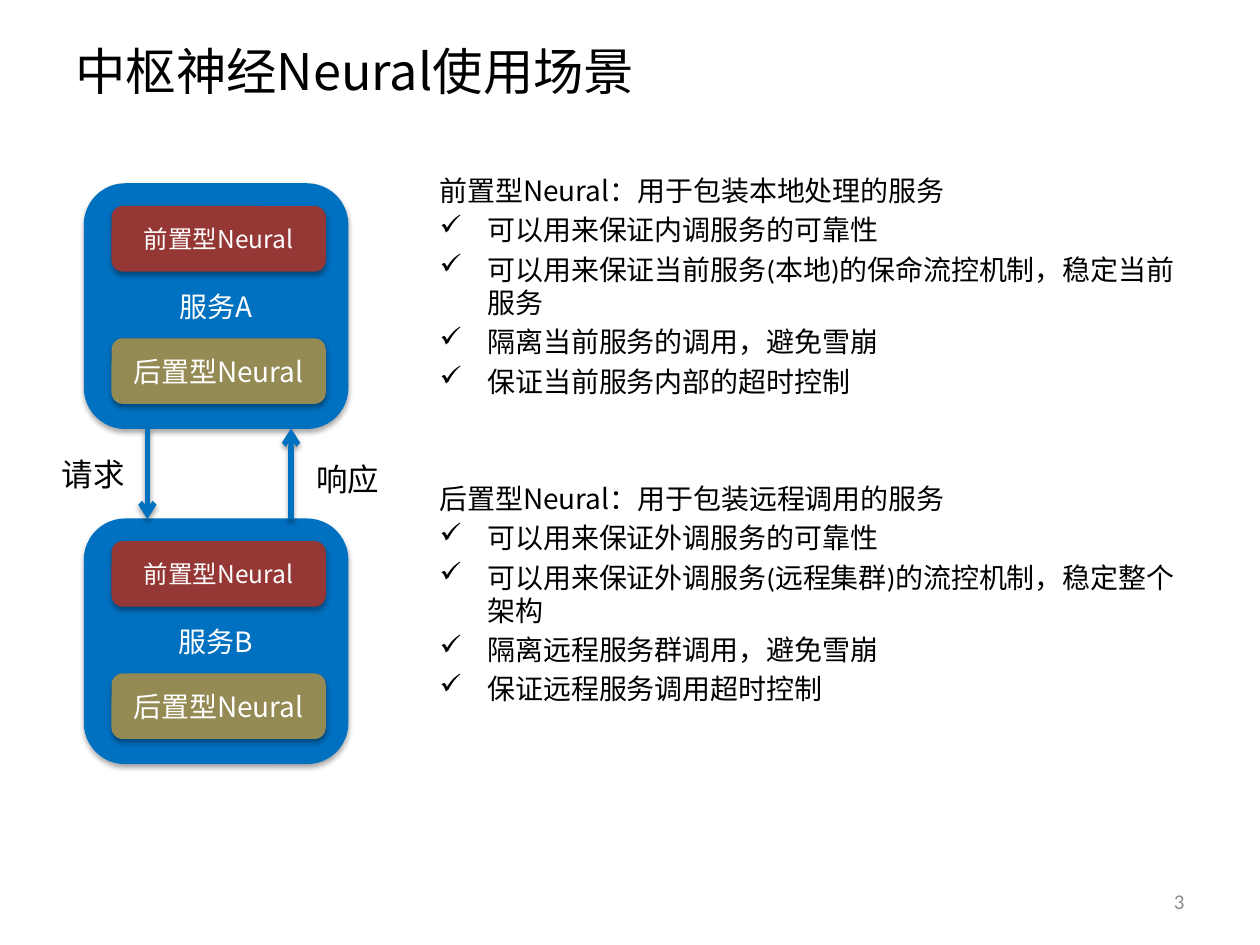
from lxml.etree import SubElement
from pptx import Presentation
from pptx.dml.color import RGBColor
from pptx.enum.shapes import MSO_CONNECTOR, MSO_SHAPE
from pptx.enum.text import MSO_ANCHOR, PP_ALIGN
from pptx.oxml.ns import qn
from pptx.util import Inches, Pt

CJK = "Noto Sans CJK SC"
LATIN = "Calibri"
BLUE, RED, OLIVE = "0070C0", "953735", "948A54"
WHITE, BLACK, GREY = "FFFFFF", "000000", "8C8C8C"

SECTIONS = [
    ("前置型Neural：用于包装本地处理的服务", [
        "可以用来保证内调服务的可靠性",
        "可以用来保证当前服务(本地)的保命流控机制，稳定当前服务",
        "隔离当前服务的调用，避免雪崩",
        "保证当前服务内部的超时控制",
    ]),
    ("后置型Neural：用于包装远程调用的服务", [
        "可以用来保证外调服务的可靠性",
        "可以用来保证外调服务(远程集群)的流控机制，稳定整个架构",
        "隔离远程服务群调用，避免雪崩",
        "保证远程服务调用超时控制",
    ]),
]


def rgb(color):
    return RGBColor.from_string(color)


def write(p, text, size=16, font=CJK, color=BLACK, align=None, before=None):
    r = p.add_run()
    r.text = text
    r.font.size = Pt(size)
    r.font.name = font
    r.font.color.rgb = rgb(color)
    SubElement(r.font._element, qn("a:ea"), typeface=font)
    if align is not None:
        p.alignment = align
    if before is not None:
        p.space_before = Pt(before)


def add_bullet(p, char="✓", indent=0.38):
    pPr = p._p.get_or_add_pPr()
    pPr.set("marL", str(Inches(indent)))
    pPr.set("indent", str(-Inches(indent)))
    SubElement(pPr, qn("a:buChar"), char=char)


def add_shadow(shape, opacity):
    """Soft shadow falling straight down."""
    effects = SubElement(shape._element.spPr, qn("a:effectLst"))
    shadow = SubElement(effects, qn("a:outerShdw"), blurRad=str(Pt(3.1)),
                        dist=str(Pt(1.8)), dir="5400000", rotWithShape="0")
    color = SubElement(shadow, qn("a:srgbClr"), val=BLACK)
    SubElement(color, qn("a:alpha"), val=str(opacity * 1000))


class Slide:
    def __init__(self, prs):
        self.s = prs.slides.add_slide(prs.slide_layouts[6])

    def text_frame(self, x, y, w, h, anchor=MSO_ANCHOR.TOP, wrap=True):
        box = self.s.shapes.add_textbox(Inches(x), Inches(y), Inches(w), Inches(h))
        tf = box.text_frame
        tf.word_wrap = wrap
        tf.vertical_anchor = anchor
        return tf

    def label(self, text, x, y, w, h, anchor=MSO_ANCHOR.TOP, wrap=True, **style):
        tf = self.text_frame(x, y, w, h, anchor, wrap)
        write(tf.paragraphs[0], text, **style)

    def box(self, text, x, y, w, h, color, size=16):
        sp = self.s.shapes.add_shape(MSO_SHAPE.ROUNDED_RECTANGLE,
                                     Inches(x), Inches(y), Inches(w), Inches(h))
        sp.fill.solid()
        sp.fill.fore_color.rgb = rgb(color)
        sp.line.color.rgb = rgb(color)
        sp.line.width = Pt(0.75)
        add_shadow(sp, 35)
        tf = sp.text_frame
        tf.word_wrap = True
        tf.vertical_anchor = MSO_ANCHOR.MIDDLE
        write(tf.paragraphs[0], text, size=size, color=WHITE, align=PP_ALIGN.CENTER)

    def service(self, name, y):
        """Service box with its front and back Neural inside."""
        self.box(name, 0.67, y, 2.09, 1.94, BLUE)
        self.box("前置型Neural", 0.89, y + 0.18, 1.69, 0.51, RED, size=14)
        self.box("后置型Neural", 0.89, y + 1.23, 1.69, 0.51, OLIVE)

    def arrow(self, x, y1, y2):
        line = self.s.shapes.add_connector(MSO_CONNECTOR.STRAIGHT, Inches(x),
                                           Inches(y1), Inches(x), Inches(y2))
        line.line.color.rgb = rgb(BLUE)
        line.line.width = Pt(3)
        SubElement(line.line._get_or_add_ln(), qn("a:tailEnd"), type="arrow")
        add_shadow(line, 38)

    def sections(self, sections, x, y, w, h):
        tf = self.text_frame(x, y, w, h)
        for i, (heading, points) in enumerate(sections):
            p = tf.add_paragraph() if i else tf.paragraphs[0]
            write(p, heading, before=48 if i else 3.2)
            for point in points:
                p = tf.add_paragraph()
                write(p, point, font=LATIN, before=3.2)
                add_bullet(p)


def main():
    prs = Presentation()
    prs.slide_width, prs.slide_height = Inches(10), Inches(7.5)
    slide = Slide(prs)
    slide.label("中枢神经Neural使用场景", 0.5, 0.3, 9, 0.51,
                anchor=MSO_ANCHOR.MIDDLE, size=28.8)
    slide.label("3", 7.17, 6.95, 2.33, 0.4, anchor=MSO_ANCHOR.MIDDLE,
                size=12, font=LATIN, color=GREY, align=PP_ALIGN.RIGHT)

    top_a, top_b = 1.46, 4.12
    bottom_a = top_a + 1.94
    slide.service("服务A", top_a)
    slide.service("服务B", top_b)
    slide.arrow(1.17, bottom_a, top_b)
    slide.arrow(2.31, top_b, bottom_a)
    slide.label("请求", 0.39, 3.56, 0.71, 0.4, wrap=False, size=18, font=LATIN)
    slide.label("响应", 2.41, 3.6, 0.71, 0.4, wrap=False, size=18, font=LATIN)

    slide.sections(SECTIONS, 3.39, 1.33, 6.11, 4.95)
    prs.save("out.pptx")


if __name__ == "__main__":
    main()
